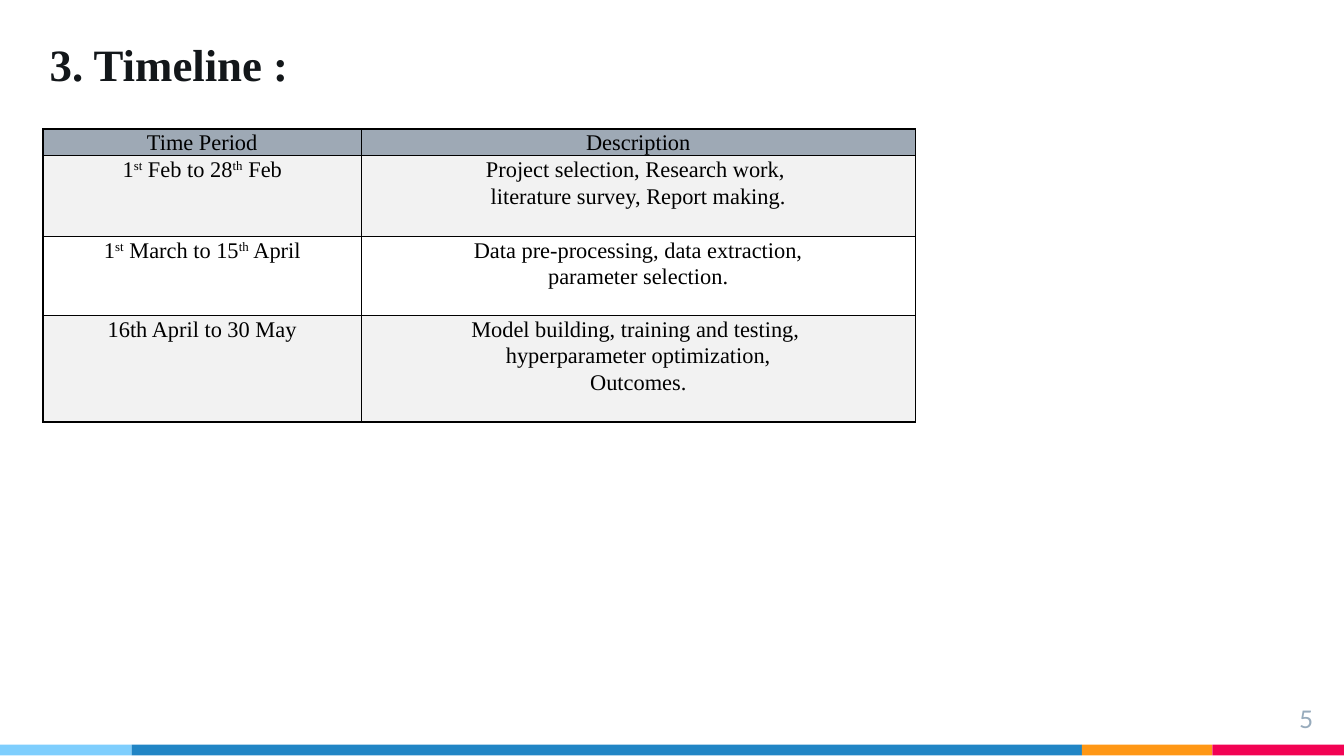
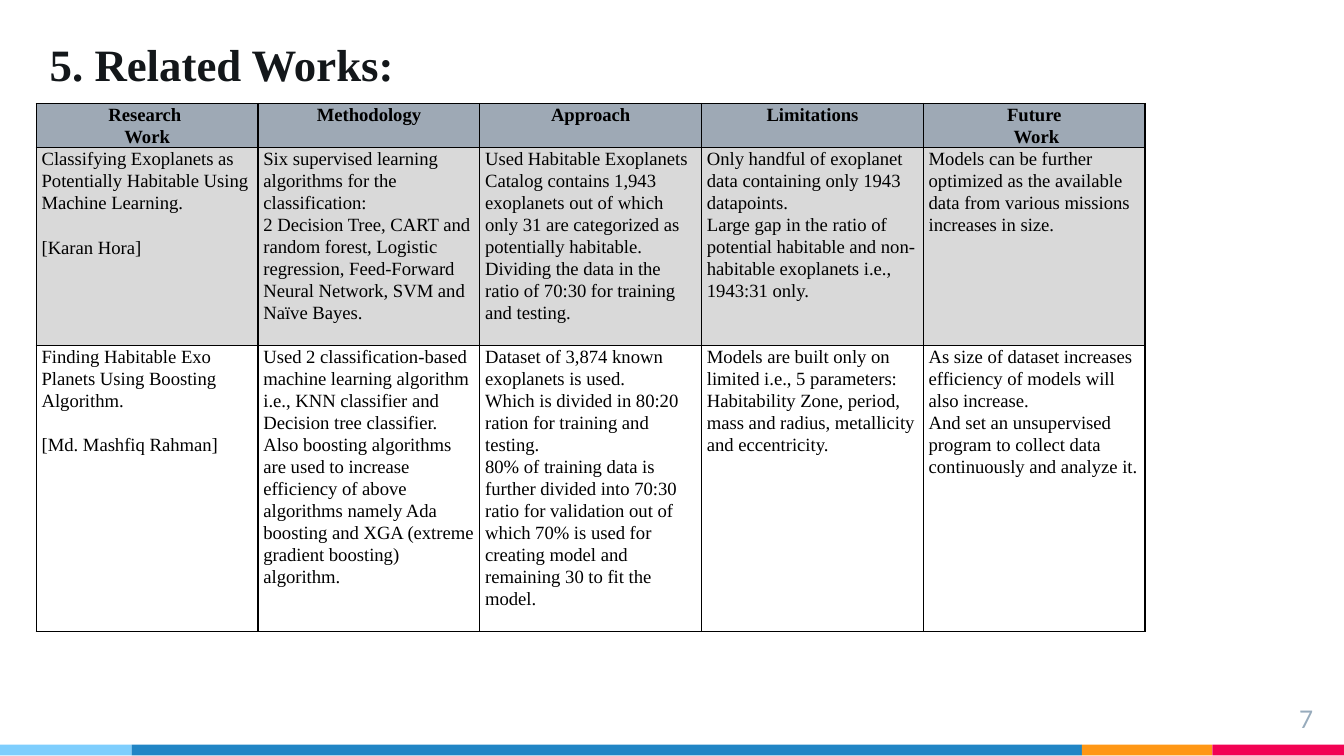
from dataclasses import dataclass
from lxml.etree import SubElement
from pptx import Presentation
from pptx.dml.color import RGBColor
from pptx.enum.shapes import MSO_SHAPE
from pptx.enum.text import MSO_ANCHOR, MSO_AUTO_SIZE, PP_ALIGN
from pptx.oxml.ns import qn
from pptx.util import Inches, Pt


@dataclass
class Theme:
    serif: str = "Times New Roman"
    sans: str = "Lato"
    ink: str = "13171A"
    text: str = "000000"
    muted: str = "97ABBC"
    head: str = "9EA9B5"
    title: float = 24
    page: float = 13
    line: float = 0.75
    lead: float = 1.07
    bands: tuple = (("7ECEFD", 0.98), ("2185C5", 7.07), ("FF9715", 0.97), ("F20253", 0.98))


theme = Theme()


def write(para, text, size, face, color, bold=False):
    for i, part in enumerate(text.split("^")):
        run = para.add_run()
        run.text = part
        run.font.size = Pt(size)
        run.font.name = face
        run.font.bold = bold
        run.font.color.rgb = RGBColor.from_string(color)
        if i % 2:
            run.font._element.set("baseline", "30000")


def border(cell):
    props = cell._tc.get_or_add_tcPr()
    for side in ("lnL", "lnR", "lnT", "lnB"):
        line = SubElement(props, qn(f"a:{side}"), w=str(Pt(theme.line)))
        fill = SubElement(line, qn("a:solidFill"))
        SubElement(fill, qn("a:srgbClr"), val=theme.text)


pages = [
    dict(
        title="3. Timeline :", page="5", left=0.32, top=0.96, size=12, pad=0.07,
        cols=[2.37, 4.12], rows=[0.2, 0.6, 0.59, 0.79], stripe="F2F2F2",
        bold=False, align=PP_ALIGN.CENTER,
        cells=[
            [["Time Period"], ["Description"]],
            [["1^st^ Feb to 28^th^ Feb"],
             ["Project selection, Research work, ", "literature survey, Report making."]],
            [["1^st^ March to 15^th^ April"],
             ["Data pre-processing, data extraction,", "parameter selection."]],
            [["16th April to 30 May"],
             ["Model building, training and testing, ", "hyperparameter optimization,",
              "Outcomes."]],
        ],
    ),
    dict(
        title="5. Related Works:", page="7", left=0.27, top=0.77, size=10, pad=0.04,
        cols=[1.65] * 5, rows=[0.33, 1.47, 2.13], stripe="D9D9D9",
        bold=True, align=PP_ALIGN.LEFT,
        cells=[
            [["Research ", "Work"], ["Methodology"], ["Approach"], ["Limitations"],
             ["Future", " Work"]],
            [["Classifying Exoplanets as Potentially Habitable Using Machine Learning.",
              "[Karan Hora]"],
             ["Six supervised learning algorithms for the classification:",
              "2 Decision Tree, CART and random forest, Logistic regression, "
              "Feed-Forward Neural Network, SVM and Naïve Bayes."],
             ["Used Habitable Exoplanets Catalog contains 1,943 exoplanets out of which "
              "only 31 are categorized as potentially habitable.",
              "Dividing the data in the ratio of 70:30 for training and testing."],
             ["Only handful of exoplanet data containing only 1943 datapoints.",
              "Large gap in the ratio of potential habitable and non-habitable "
              "exoplanets i.e., 1943:31 only."],
             ["Models can be further optimized as the available data from various "
              "missions increases in size."]],
            [["Finding Habitable Exo Planets Using Boosting Algorithm.",
              "[Md. Mashfiq Rahman]"],
             ["Used 2 classification-based machine learning algorithm i.e., KNN "
              "classifier and Decision tree classifier.",
              "Also boosting algorithms are used to increase efficiency of above "
              "algorithms namely Ada boosting and XGA (extreme gradient boosting) "
              "algorithm."],
             ["Dataset of 3,874 known exoplanets is used.",
              "Which is divided in 80:20 ration for training and testing.",
              "80% of training data is further divided into 70:30 ratio for validation "
              "out of which 70% is used for creating model and remaining 30 to fit "
              "the model."],
             ["Models are built only on limited i.e., 5 parameters:",
              "Habitability Zone, period, mass and radius, metallicity and "
              "eccentricity."],
             ["As size of dataset increases efficiency of models will also increase.",
              "And set an unsupervised program to collect data continuously and "
              "analyze it."]],
        ],
    ),
]

deck = Presentation()
deck.slide_width = Inches(10)
deck.slide_height = Inches(10 * 9 / 16)
layout = deck.slide_layouts[5]
slides = [deck.slides.add_slide(layout) for page in pages]

left = 0
for i, (color, width) in enumerate(theme.bands):
    band = slides[0].shapes.add_shape(
        MSO_SHAPE.RECTANGLE, Inches(left), Inches(5.54), Inches(width), Inches(0.08))
    band.shadow.inherit = False
    band.fill.solid()
    band.fill.fore_color.rgb = RGBColor.from_string(color)
    band.line.fill.background()
    band._element.nvSpPr.cNvPr.set("id", str(20 + i))
    layout.shapes._spTree.append(band._element)
    left += width

for slide, page in zip(slides, pages):
    title = slide.shapes.title
    title.left, title.top = Inches(0.27), Inches(0.21)
    title.width, title.height = Inches(9.05), Inches(0.56)
    number = slide.shapes.add_textbox(Inches(9.27), Inches(5.14), Inches(0.6), Inches(0.34))
    for box in (title, number):
        frame = box.text_frame
        frame.word_wrap = True
        frame.auto_size = MSO_AUTO_SIZE.NONE
        frame.margin_left = frame.margin_right = Inches(0.1)
        frame.margin_top = frame.margin_bottom = Inches(0.1)
    title.text_frame.vertical_anchor = MSO_ANCHOR.BOTTOM
    para = title.text_frame.paragraphs[0]
    para.alignment = PP_ALIGN.LEFT
    write(para, page["title"], theme.title, theme.serif, theme.ink, True)
    para = number.text_frame.paragraphs[0]
    para.alignment = PP_ALIGN.RIGHT
    write(para, page["page"], theme.page, theme.sans, theme.muted)

    cols, rows = page["cols"], page["rows"]
    table = slide.shapes.add_table(
        len(rows), len(cols), Inches(page["left"]), Inches(page["top"]),
        Inches(sum(cols)), Inches(sum(rows))).table
    table.first_row = table.horz_banding = False
    for col, width in zip(table.columns, cols):
        col.width = Inches(width)
    for row, height in zip(table.rows, rows):
        row.height = Inches(height)

    for r, row in enumerate(page["cells"]):
        for c, lines in enumerate(row):
            cell = table.cell(r, c)
            cell.margin_left = cell.margin_right = Inches(page["pad"])
            cell.margin_top = cell.margin_bottom = 0
            border(cell)
            if r % 2 or r == 0:
                cell.fill.solid()
                shade = page["stripe"] if r else theme.head
                cell.fill.fore_color.rgb = RGBColor.from_string(shade)
            else:
                cell.fill.background()
            for i, text in enumerate(lines):
                frame = cell.text_frame
                para = frame.add_paragraph() if i else frame.paragraphs[0]
                para.alignment = page["align"] if r else PP_ALIGN.CENTER
                para.line_spacing = theme.lead
                if text.startswith("["):
                    para.space_before = Pt(12)
                write(para, text, page["size"], theme.serif, theme.text,
                      page["bold"] and r == 0)

deck.save("out.pptx")
